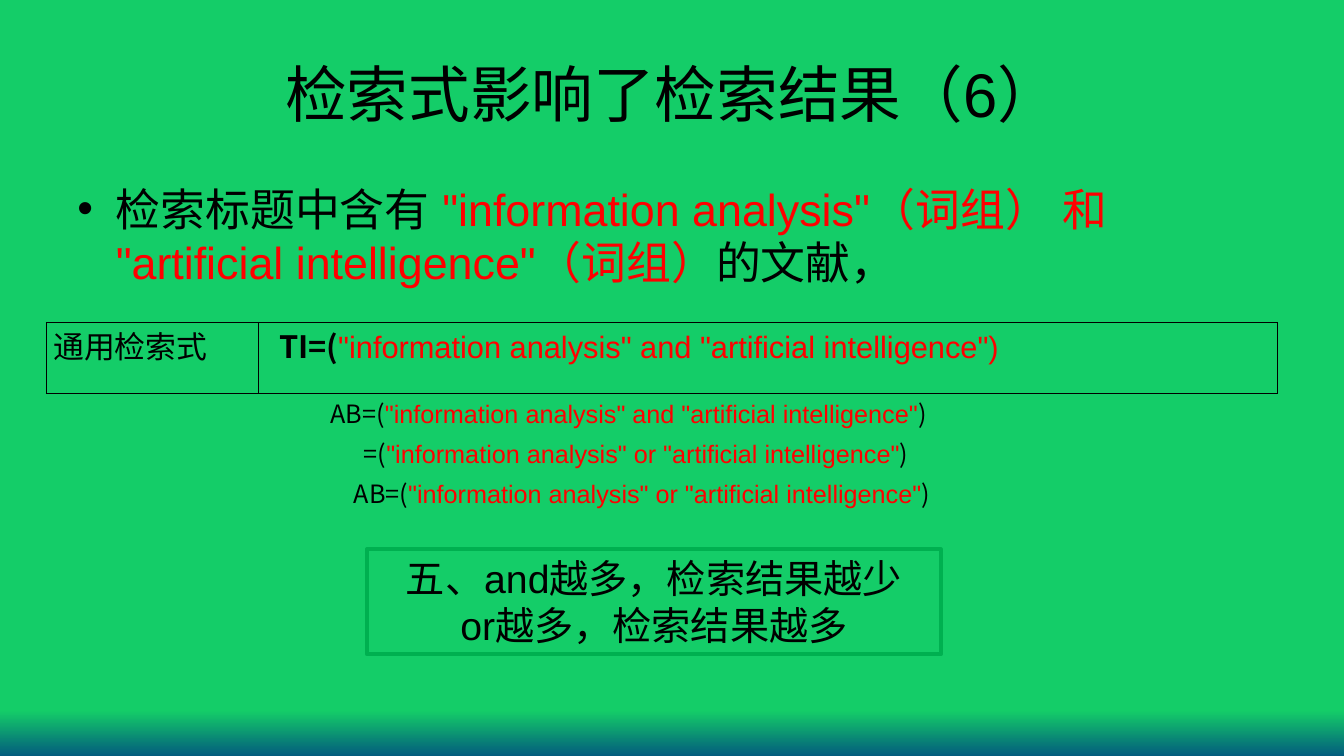
from lxml import etree
from pptx import Presentation
from pptx.dml.color import RGBColor
from pptx.enum.shapes import MSO_SHAPE
from pptx.enum.text import MSO_ANCHOR, PP_ALIGN
from pptx.oxml.ns import qn
from pptx.util import Inches, Pt

BLACK = RGBColor(0x00, 0x00, 0x00)
RED = RGBColor(0xFF, 0x00, 0x00)
GREEN = RGBColor(0x14, 0xCD, 0x68)
BLUE = RGBColor(0x03, 0x5C, 0x7D)
FRAME_GREEN = RGBColor(0x00, 0xB0, 0x50)
LATIN, CHINESE = "Arial", "Noto Sans CJK SC"
CENTER, LEFT = PP_ALIGN.CENTER, PP_ALIGN.LEFT
TOP, MIDDLE = MSO_ANCHOR.TOP, MSO_ANCHOR.MIDDLE
RECTANGLE = MSO_SHAPE.RECTANGLE


def add_spans(para, size, *spans):
    """Each span is (text, colour, font name, optional bold)."""
    for text, color, name, *bold in spans:
        span = para.add_run()
        span.text = text
        span.font.size = Pt(size)
        span.font.name = name
        span.font.bold = bool(bold and bold[0])
        span.font.color.rgb = color
        east_asian = etree.SubElement(span.font._element, qn("a:ea"))
        east_asian.set("typeface", name)


def add_text(page, left, top, width, height, size, *spans,
             align=LEFT, anchor=TOP, wrap=True):
    box = page.shapes.add_textbox(Inches(left), Inches(top), Inches(width), Inches(height))
    frame = box.text_frame
    frame.word_wrap = wrap
    frame.vertical_anchor = anchor
    para = frame.paragraphs[0]
    para.alignment = align
    add_spans(para, size, *spans)
    return para


def add_bullet(para, indent):
    props = para._p.get_or_add_pPr()
    props.set("marL", str(Inches(indent)))
    props.set("indent", str(-Inches(indent)))
    font = etree.SubElement(props, qn("a:buFont"))
    font.set("typeface", LATIN)
    etree.SubElement(props, qn("a:buChar")).set("char", "•")


def add_query(page, left, top, width, prefix, operator):
    phrase = f'"information analysis" {operator} "artificial intelligence"'
    add_text(page, left, top, width, 0.4, 18, (prefix, BLACK, CHINESE),
             (phrase, RED, LATIN), (")", BLACK, CHINESE), wrap=False)


def set_borders(cell):
    props = cell._tc.get_or_add_tcPr()
    for place, side in enumerate(("lnL", "lnR", "lnT", "lnB")):
        line = etree.Element(qn(f"a:{side}"), w=str(Pt(1)))
        fill = etree.SubElement(line, qn("a:solidFill"))
        etree.SubElement(fill, qn("a:srgbClr")).set("val", str(BLACK))
        props.insert(place, line)


def add_query_table(page, left, top, widths, height, cells):
    frame = page.shapes.add_table(1, len(widths), Inches(left), Inches(top),
                                  Inches(sum(widths)), Inches(height))
    table = frame.table
    table.first_row = table.horz_banding = False
    table.rows[0].height = Inches(height)
    for column, (width, spans) in enumerate(zip(widths, cells)):
        table.columns[column].width = Inches(width)
        cell = table.cell(0, column)
        cell.margin_left = cell.margin_right = Inches(0.07)
        cell.margin_top = cell.margin_bottom = 0
        cell.fill.background()
        set_borders(cell)
        add_spans(cell.text_frame.paragraphs[0], 22, *spans)


def add_conclusion(page, left, top, width, height, lines):
    box = page.shapes.add_shape(RECTANGLE, Inches(left), Inches(top),
                                Inches(width), Inches(height))
    box.shadow.inherit = False
    box.fill.background()
    box.line.color.rgb = FRAME_GREEN
    box.line.width = Pt(3)
    frame = box.text_frame
    frame.word_wrap = True
    frame.vertical_anchor = TOP
    for number, line in enumerate(lines):
        para = frame.add_paragraph() if number else frame.paragraphs[0]
        para.alignment = CENTER
        add_spans(para, 28, (line, BLACK, LATIN))


def set_background(page):
    fill = page.background.fill
    fill.gradient()
    fill.gradient_angle = 270
    for stop, position, color in zip(fill.gradient_stops, (0.94, 1), (GREEN, BLUE)):
        stop.position = position
        stop.color.rgb = color


def main():
    deck = Presentation()
    deck.slide_width, deck.slide_height = Inches(13.33), Inches(7.5)
    page = deck.slides.add_slide(deck.slide_layouts[6])
    set_background(page)

    # Title and search task
    add_text(page, 0.67, 0.3, 12, 1.25, 44, ("检索式影响了检索结果（6）", BLACK, LATIN),
             align=CENTER, anchor=MIDDLE)
    task = add_text(
        page, 0.67, 1.75, 12, 4.95, 32, ("检索标题中含有", BLACK, LATIN),
        (' "information analysis"（词组） 和 "artificial intelligence"（词组）', RED, LATIN),
        ("的文献，", BLACK, LATIN))
    task.space_before = Pt(6.4)
    add_bullet(task, 0.38)

    # General query
    add_query_table(page, 0.46, 3.2, (2.1, 10.11), 0.7, (
        [("通用检索式", BLACK, CHINESE)],
        [("  TI=(", BLACK, CHINESE, True),
         ('"information analysis" and "artificial intelligence")', RED, LATIN)]))

    # Query variants
    add_query(page, 3.18, 3.9, 6.11, "AB=(", "and")
    add_query(page, 3.51, 4.3, 5.69, "=(", "or")
    add_query(page, 3.41, 4.7, 5.92, "AB=(", "or")

    # Conclusion
    add_conclusion(page, 3.64, 5.45, 5.69, 1.04,
                   ("五、and越多，检索结果越少", "or越多，检索结果越多"))

    deck.save("out.pptx")


if __name__ == "__main__":
    main()
